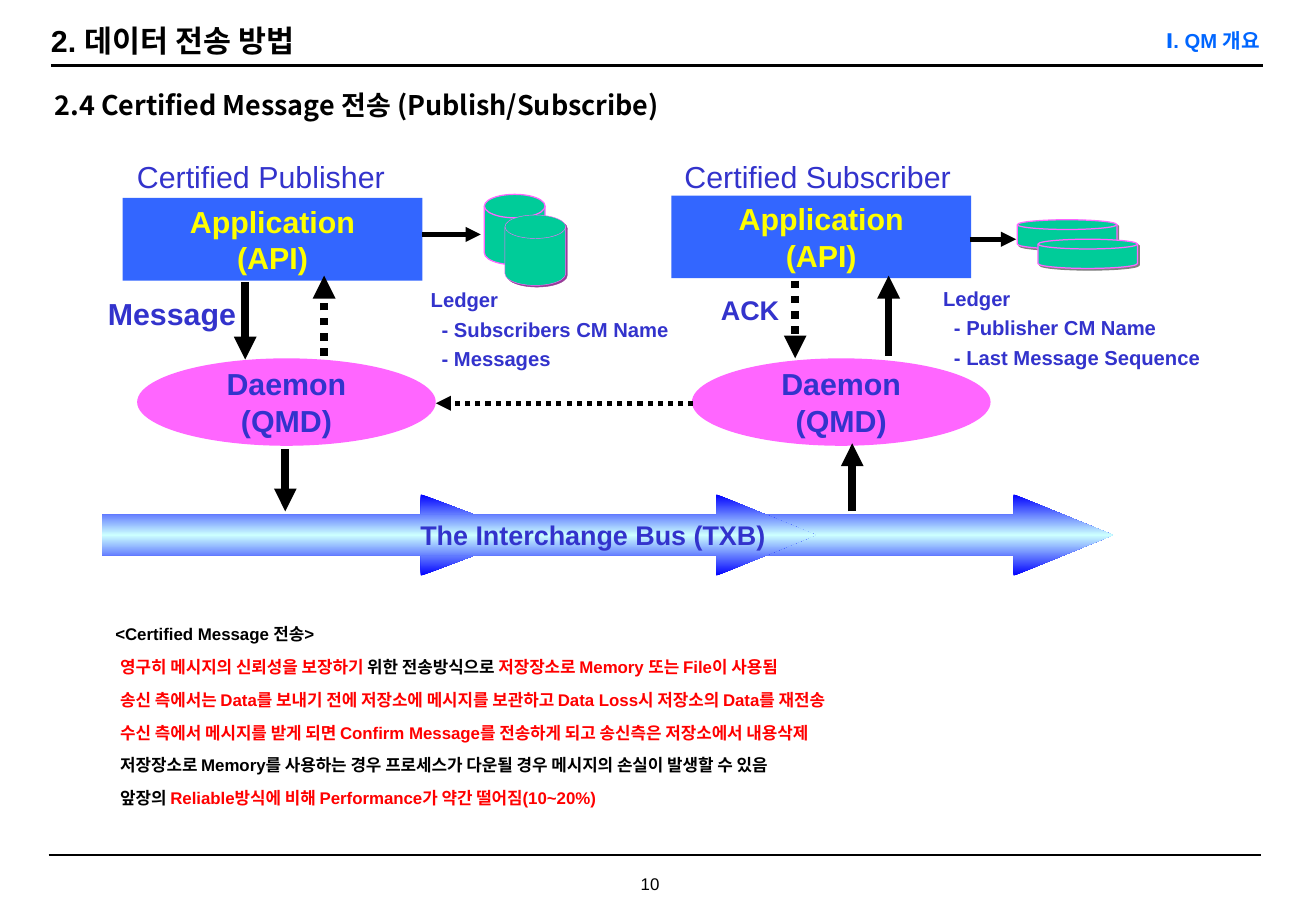
"""Build the slide on certified message delivery between publisher and subscriber."""
import copy
import pptx
import pptx.util
import pptx.dml.color
import pptx.enum.dml
import pptx.enum.shapes
import pptx.enum.text
import pptx.oxml
import pptx.oxml.ns

Inches, Pt = pptx.util.Inches, pptx.util.Pt
Kind = pptx.enum.shapes.MSO_SHAPE
Align = pptx.enum.text.PP_ALIGN
Anchor = pptx.enum.text.MSO_ANCHOR
Rgb = pptx.dml.color.RGBColor.from_string
qn = pptx.oxml.ns.qn


class Theme:
    font, hangul = "Arial", "Noto Sans CJK KR"
    black, red, blue, yellow = "000000", "FF0000", "3333CC", "FFFF00"
    app, daemon, disk, head = "3366FF", "FF66FF", "00CC99", "0066FF"
    bus = ["0000FF", "CCFFFF", "0000FF"]
    big, mid, small, tiny = 18, 16, 12, 10


def write(shape, lines, size, color, bold=True, align=Align.LEFT, side=0.1,
          anchor=Anchor.TOP, space=None, font=Theme.font):
    frame = shape.text_frame
    frame.text = "\n".join(lines)
    frame.word_wrap = True
    frame.vertical_anchor = anchor
    frame.margin_left = frame.margin_right = Inches(side)
    frame.margin_top = frame.margin_bottom = Inches(0.05)
    for para in frame.paragraphs:
        para.alignment = align
        para.line_spacing = space
        for run in para.runs:
            run.font.name, run.font.size = font, Pt(size)
            run.font.bold, run.font.color.rgb = bold, Rgb(color)
    return frame


def link(x1, y1, x2, y2, width, dotted=False, arrow=True):
    line = slide.shapes.add_connector(
        pptx.enum.shapes.MSO_CONNECTOR.STRAIGHT,
        Inches(x1), Inches(y1), Inches(x2), Inches(y2))
    line.line.width = Pt(width)
    line.line.color.rgb = Rgb(Theme.black)
    if dotted:
        line.line.dash_style = pptx.enum.dml.MSO_LINE.ROUND_DOT
    props = line._element.spPr
    if arrow:
        tail = pptx.oxml.parse_xml(f'<a:tailEnd {pptx.oxml.ns.nsdecls("a")} type="triangle"/>')
        props.find(qn("a:ln")).append(tail)
    props.append(pptx.oxml.parse_xml(f'<a:effectLst {pptx.oxml.ns.nsdecls("a")}/>'))


deck = pptx.Presentation()
deck.slide_width, deck.slide_height = Inches(10.84), Inches(7.5)
slide = deck.slides.add_slide(deck.slide_layouts[5])
shapes = slide.shapes

title = shapes.title
title.left, title.top = Inches(0.42), Inches(0.13)
title.width, title.height = Inches(7.52), Inches(0.4)
write(title, ["2. 데이터 전송 방법"], Theme.big, Theme.black, side=0, anchor=Anchor.MIDDLE)

link(0.42, 0.54, 10.4, 0.54, 1.75, arrow=False)
link(0.4, 7.04, 10.39, 7.04, 1, arrow=False)

labels = [
    (5.17, 7.16, 0.37, 0.25, ["10"], Theme.tiny, Theme.black,
     dict(bold=False, align=Align.CENTER, side=0, space=0.9)),
    (8.41, 0.18, 1.97, 0.3, ["Ⅰ. QM 개요"], Theme.small, Theme.head,
     dict(align=Align.RIGHT, side=0, anchor=Anchor.MIDDLE)),
    (0.45, 0.68, 9.92, 0.31, ["2.4 Certified Message 전송 (Publish/Subscribe)"],
     Theme.mid, Theme.black, dict(side=0, font=Theme.hangul)),
    (1.03, 1.25, 2.4, 0.4, ["Certified Publisher"], Theme.big, Theme.blue, dict(bold=False)),
    (5.54, 1.25, 2.5, 0.4, ["Certified Subscriber"], Theme.big, Theme.blue, dict(bold=False)),
    (0.79, 2.38, 1.35, 0.4, ["Message"], Theme.big, Theme.blue, {}),
    (5.84, 2.37, 0.8, 0.37, ["ACK"], Theme.mid, Theme.blue, {}),
]
for x, y, w, h, lines, size, color, style in labels:
    box = shapes.add_textbox(Inches(x), Inches(y), Inches(w), Inches(h))
    write(box, lines, size, color, **style)

ledgers = [
    (3.45, 2.28, ["- Subscribers CM Name", "- Messages"]),
    (7.67, 2.27, ["- Publisher CM Name", "- Last Message Sequence"]),
]
for x, y, items in ledgers:
    box = shapes.add_textbox(Inches(x), Inches(y), Inches(2.4), Inches(0.82))
    frame = write(box, ["Ledger"] + items, Theme.small, Theme.blue, space=1.2)
    for para in frame.paragraphs[1:]:
        para._p.get_or_add_pPr().set("marL", str(Inches(0.09)))

nodes = [
    (Kind.RECTANGLE, 1.01, 1.63, 2.47, 0.68, ["Application", "(API)"], Theme.app, Theme.yellow),
    (Kind.RECTANGLE, 5.53, 1.61, 2.47, 0.68, ["Application", "(API)"], Theme.app, Theme.yellow),
    (Kind.OVAL, 1.13, 2.95, 2.46, 0.72, ["Daemon", "(QMD)"], Theme.daemon, Theme.blue),
    (Kind.OVAL, 5.7, 2.95, 2.46, 0.72, ["Daemon", "(QMD)"], Theme.daemon, Theme.blue),
]
for kind, x, y, w, h, lines, fill, color in nodes:
    node = shapes.add_shape(kind, Inches(x), Inches(y), Inches(w), Inches(h))
    node.shadow.inherit = False
    node.fill.solid()
    node.fill.fore_color.rgb = Rgb(fill)
    node.line.fill.background()
    write(node, lines, Theme.big, color, align=Align.CENTER, anchor=Anchor.MIDDLE)

for x, w, lines in [(0.84, 3.51, []), (5.91, 3.26, []), (3.46, 3.26, ["The Interchange Bus (TXB)"])]:
    bus = shapes.add_shape(Kind.RIGHT_ARROW, Inches(x), Inches(4.07), Inches(w), Inches(0.67))
    bus.adjustments[0], bus.adjustments[1] = 0.5, w * 0.375
    bus.shadow.inherit = False
    bus.line.fill.background()
    bus.fill.gradient()
    bus.fill.gradient_angle = 270
    stops = bus._element.spPr.find(qn("a:gradFill")).find(qn("a:gsLst"))
    stops.insert(1, copy.deepcopy(stops[0]))
    for i, (stop, color) in enumerate(zip(bus.fill.gradient_stops, Theme.bus)):
        stop.position = i / 2
        stop.color.rgb = Rgb(color)
    if lines:
        write(bus, lines, Theme.mid, Theme.blue, align=Align.CENTER, side=0, anchor=Anchor.MIDDLE)

disks = [
    (3.99, 1.6, 0.5, 0.58, 0.75, None),
    (4.16, 1.77, 0.5, 0.58, 0.25, "983C98"),
    (8.38, 1.81, 0.82, 0.24, 0.75, "808080"),
    (8.55, 1.97, 0.82, 0.24, 0.75, "808080"),
]
for x, y, w, h, edge, shade in disks:
    disk = shapes.add_shape(Kind.FLOWCHART_MAGNETIC_DISK, Inches(x), Inches(y), Inches(w), Inches(h))
    disk.fill.solid()
    disk.fill.fore_color.rgb = Rgb(Theme.disk)
    disk.line.color.rgb = Rgb(Theme.daemon)
    disk.line.width = Pt(edge)
    disk.shadow.inherit = False
    if shade:
        disk._element.spPr.find(qn("a:effectLst")).append(pptx.oxml.parse_xml(
            f'<a:outerShdw {pptx.oxml.ns.nsdecls("a")} dist="{Pt(1.4)}" dir="2700000">'
            f'<a:srgbClr val="{shade}"/></a:outerShdw>'))

for x1, y1, x2, y2, width, dotted in [
    (2.02, 2.32, 2.02, 2.96, 4.5, False),
    (2.67, 2.93, 2.67, 2.27, 4.5, True),
    (6.55, 2.31, 6.55, 2.95, 4.5, True),
    (7.32, 2.93, 7.32, 2.27, 4.5, False),
    (2.35, 3.7, 2.35, 4.21, 4.5, False),
    (7.02, 4.21, 7.02, 3.65, 4.5, False),
    (5.71, 3.32, 3.59, 3.32, 3, True),
    (3.48, 1.93, 3.96, 1.93, 3, False),
    (7.99, 1.97, 8.37, 1.97, 3, False),
]:
    link(x1, y1, x2, y2, width, dotted)

black, red = Theme.black, Theme.red
notes = [
    [("<Certified Message 전송>", black)],
    [("영구히 메시지의 신뢰성을 보장하기", red), (" 위한 전송방식으로 ", black),
     ("저장장소로 Memory 또는 File이 사용됨", red)],
    [("송신 측에서는 Data를 보내기 전에 저장소에 메시지를 보관하고 Data Loss시 저장소의 Data를 재전송", red)],
    [("수신 측에서 메시지를 받게 되면 Confirm Message를 전송하게 되고 송신측은 저장소에서 내용삭제", red)],
    [("저장장소로 Memory를 사용하는 경우 프로세스가 다운될 경우 메시지의 손실이 발생할 수 있음", black)],
    [("앞장의 ", black), ("Reliable방식에 비해 Performance가 약간 떨어짐(10~20%)", red)],
]
box = shapes.add_textbox(Inches(0.93), Inches(5.12), Inches(7.4), Inches(1.53))
frame = box.text_frame
frame.word_wrap = True
frame.margin_left = frame.margin_right = Inches(0.02)
frame.margin_top = frame.margin_bottom = 0
for i, parts in enumerate(notes):
    para = frame.add_paragraph() if i else frame.paragraphs[0]
    para.line_spacing = 1.1
    if i:
        para.space_before = Pt(6.2)
        para._p.get_or_add_pPr().set("marL", str(Inches(0.04)))
    for text, color in parts:
        run = para.add_run()
        run.text = text
        run.font.name, run.font.size = Theme.font, Pt(Theme.tiny)
        run.font.bold, run.font.color.rgb = True, Rgb(color)

deck.save("out.pptx")
